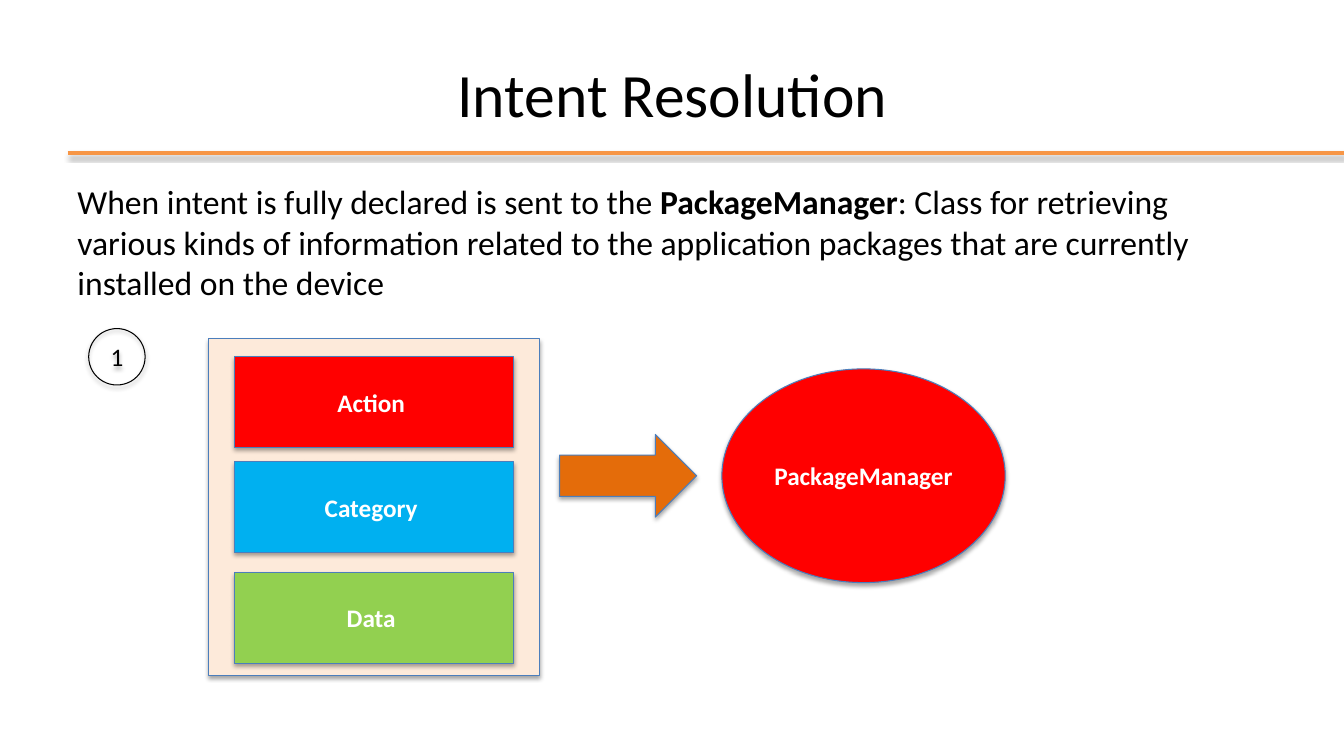
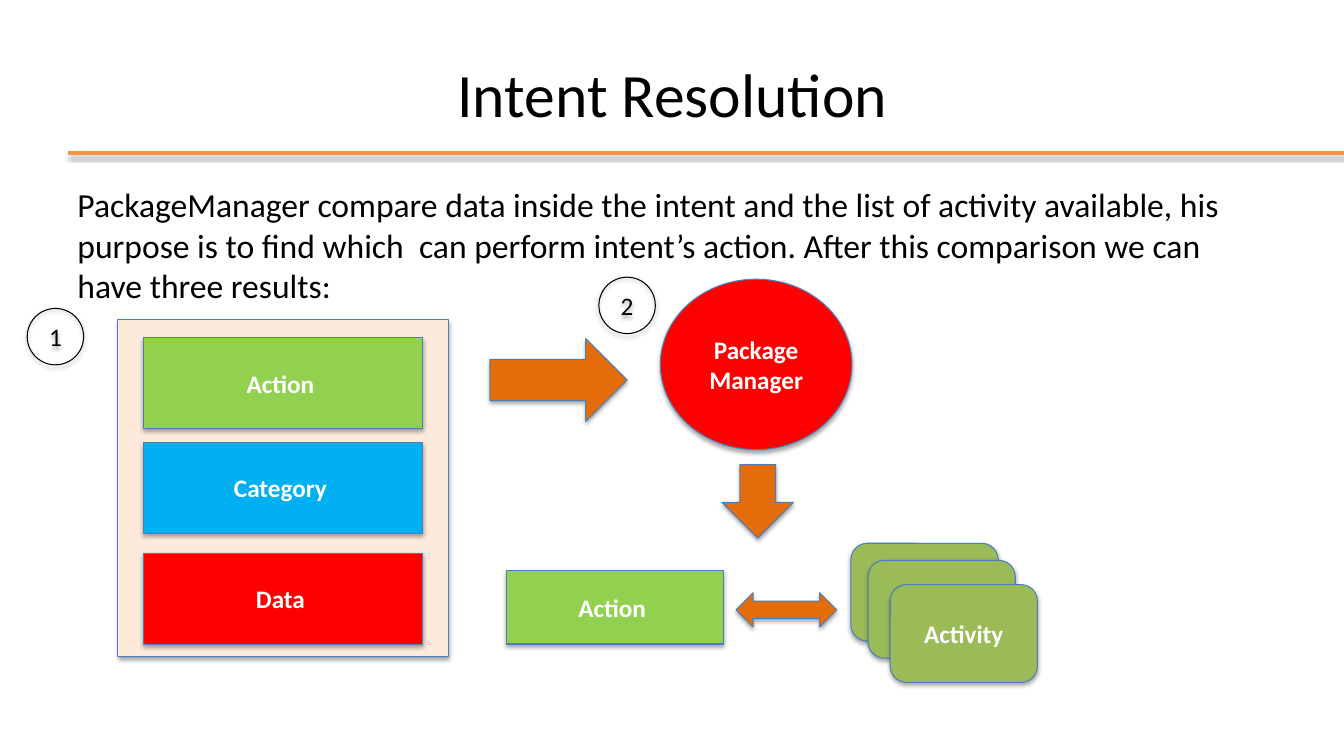
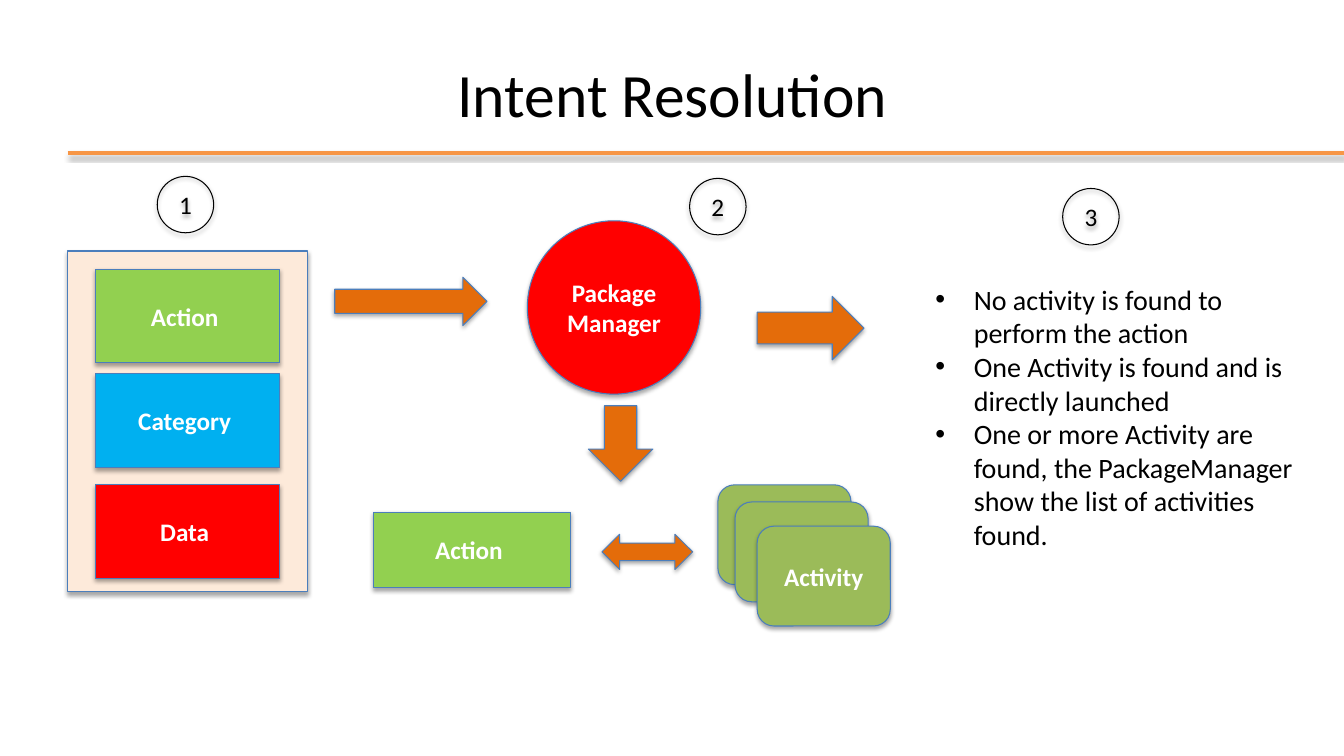
from lxml import etree
from pptx import Presentation
from pptx.dml.color import RGBColor
from pptx.enum.shapes import MSO_CONNECTOR, MSO_SHAPE
from pptx.enum.text import MSO_ANCHOR, PP_ALIGN
from pptx.oxml import parse_xml
from pptx.oxml.ns import nsdecls, qn
from pptx.util import Inches, Pt

BLACK = RGBColor(0x00, 0x00, 0x00)
WHITE = RGBColor(0xFF, 0xFF, 0xFF)
RED = RGBColor(0xFF, 0x00, 0x00)
SKY = RGBColor(0x00, 0xB0, 0xF0)
LIME = RGBColor(0x92, 0xD0, 0x50)
OLIVE = RGBColor(0x9B, 0xBB, 0x59)
PEACH = RGBColor(0xFD, 0xEA, 0xDA)
ORANGE = RGBColor(0xE4, 0x6C, 0x0A)
RULE = RGBColor(0xF7, 0x96, 0x46)
OUTLINE = RGBColor(0x4B, 0x7E, 0xBC)
FONT = "Calibri"

SHADOW = (
    f'<a:effectLst {nsdecls("a")}>'
    '<a:outerShdw blurRad="40000" dist="23000" dir="5400000" rotWithShape="0">'
    '<a:srgbClr val="000000"><a:alpha val="35000"/></a:srgbClr>'
    "</a:outerShdw></a:effectLst>"
)

# Boxes are left, top, width, height in inches; arrows add a rotation.
SLIDES = [
    {
        "body": (0.67, 1.75, 12, 4.95), "size": 24, "bullets": False,
        "paragraphs": [[
            ("When intent is fully declared is sent to the ", False),
            ("PackageManager", True),
            (": Class for retrieving various kinds of information related to "
             "the application packages that are currently installed on the device", False),
        ]],
        "manager": (7.16, 3.66, 2.81, 2.12), "manager_lines": ["PackageManager"],
        "panel": (2.07, 3.36, 3.28, 3.34), "part_size": (2.77, 0.9),
        "part_fills": (RED, SKY, LIME),
        "arrows": [(5.55, 4.31, 1.36, 0.82, 0)],
        "steps": [(0.88, 3.26)],
    },
    {
        "body": (0.67, 1.78, 12, 1.19), "size": 24, "bullets": False,
        "paragraphs": [[
            ("PackageManager compare data inside the intent and the list of activity "
             "available, his purpose is to find which  can perform intent’s action. "
             "After this comparison we can have three results:", False),
        ]],
        "manager": (6.55, 2.77, 1.9, 1.69), "manager_lines": ["Package", "Manager"],
        "panel": (1.17, 3.17, 3.28, 3.34), "part_size": (2.77, 0.9),
        "part_fills": (LIME, SKY, RED),
        "arrows": [(4.86, 3.36, 1.36, 0.82, 0), (7.15, 4.62, 0.73, 0.71, 90)],
        "steps": [(0.27, 3.06), (5.94, 2.75)],
        "activities": (8.44, 5.39, 1.46, 0.97),
        "action": (5.02, 5.66, 2.16, 0.73),
        "match": (7.3, 5.88, 1, 0.34),
    },
    {
        "body": (9.18, 2.75, 3.89, 4.11), "size": 20, "bullets": True,
        "paragraphs": [
            [("No activity is found to perform the action", False)],
            [("One Activity is found and is directly launched", False)],
            [("One or more Activity are found, the PackageManager show "
              "the list of activities found.", False)],
        ],
        "manager": (5.23, 2.19, 1.72, 1.72), "manager_lines": ["Package", "Manager"],
        "panel": (0.67, 2.49, 2.38, 3.38), "part_size": (1.83, 0.93),
        "part_fills": (LIME, SKY, RED),
        "arrows": [(3.32, 2.75, 1.51, 0.48, 0), (5.78, 4.08, 0.75, 0.64, 90),
                   (7.51, 2.94, 1.06, 0.63, 0)],
        "steps": [(1.56, 1.75), (6.84, 1.77), (10.54, 1.87)],
        "activities": (7.12, 4.81, 1.32, 0.99),
        "action": (3.7, 5.08, 1.96, 0.75),
        "match": (5.97, 5.3, 0.9, 0.35),
    },
]


def write(tf, paragraphs, size, color, align, anchor):
    """Fill a text frame with paragraphs, each a list of (text, bold) runs."""
    tf.word_wrap = True
    tf.vertical_anchor = anchor
    for i, runs in enumerate(paragraphs):
        p = tf.paragraphs[0] if i == 0 else tf.add_paragraph()
        p.alignment = align
        for text, bold in runs:
            r = p.add_run()
            r.text = text
            r.font.name = FONT
            r.font.size = Pt(size)
            r.font.bold = bold
            r.font.color.rgb = color


def add_block(s, kind, box, fill=None, lines=()):
    """Add a shadowed shape; without a fill it is a black outline with plain text."""
    sp = s.shapes.add_shape(kind, *map(Inches, box))
    if fill is None:
        sp.fill.background()
    else:
        sp.fill.solid()
        sp.fill.fore_color.rgb = fill
    sp.line.color.rgb = OUTLINE if fill else BLACK
    sp.line.width = Pt(0.75)
    sp.element.spPr.append(parse_xml(SHADOW))
    write(sp.text_frame, [[(line, fill is not None)] for line in lines], 18,
          WHITE if fill else BLACK, PP_ALIGN.CENTER, MSO_ANCHOR.MIDDLE)
    return sp


prs = Presentation()
prs.slide_width = Inches(13.33)
prs.slide_height = Inches(7.5)

for content in SLIDES:
    s = prs.slides.add_slide(prs.slide_layouts[6])

    rule = s.shapes.add_connector(MSO_CONNECTOR.STRAIGHT, Inches(0.67), Inches(1.52),
                                  Inches(13.33), Inches(1.52))
    rule.line.color.rgb = RULE
    rule.line.width = Pt(3)
    rule.element.spPr.append(parse_xml(SHADOW))

    title = s.shapes.add_textbox(Inches(0.67), Inches(0.3), Inches(12), Inches(1.25))
    write(title.text_frame, [[("Intent Resolution", False)]], 44, BLACK,
          PP_ALIGN.CENTER, MSO_ANCHOR.MIDDLE)

    body = s.shapes.add_textbox(*map(Inches, content["body"]))
    write(body.text_frame, content["paragraphs"], content["size"], BLACK,
          PP_ALIGN.LEFT, MSO_ANCHOR.TOP)
    if content["bullets"]:
        for p in body.text_frame.paragraphs:
            pPr = p._p.get_or_add_pPr()
            pPr.set("marL", str(Inches(0.38)))
            pPr.set("indent", str(-Inches(0.38)))
            etree.SubElement(pPr, qn("a:buFont")).set("typeface", "Arial")
            etree.SubElement(pPr, qn("a:buChar")).set("char", "•")

    add_block(s, MSO_SHAPE.OVAL, content["manager"], RED, content["manager_lines"])

    add_block(s, MSO_SHAPE.RECTANGLE, content["panel"], PEACH)
    left, top, width, height = content["panel"]
    part_w, part_h = content["part_size"]
    part_left = left + (width - part_w) / 2
    for label, offset, fill in zip(("Action ", "Category ", "Data "), (0.18, 1.22, 2.32),
                                   content["part_fills"]):
        add_block(s, MSO_SHAPE.RECTANGLE, (part_left, top + offset, part_w, part_h),
                  fill, [label])

    for *box, rotation in content["arrows"]:
        arrow = add_block(s, MSO_SHAPE.RIGHT_ARROW, box, ORANGE)
        arrow.rotation = rotation

    if "activities" in content:
        left, top, width, height = content["activities"]
        for dx, dy, lines in ((0, 0, []), (0.17, 0.17, []), (0.39, 0.41, ["Activity"])):
            add_block(s, MSO_SHAPE.ROUNDED_RECTANGLE, (left + dx, top + dy, width, height),
                      OLIVE, lines)
        add_block(s, MSO_SHAPE.RECTANGLE, content["action"], LIME, ["Action "])
        add_block(s, MSO_SHAPE.LEFT_RIGHT_ARROW, content["match"], ORANGE)

    for number, (left, top) in enumerate(content["steps"], 1):
        add_block(s, MSO_SHAPE.OVAL, (left, top, 0.56, 0.56), lines=[str(number)])

prs.save("out.pptx")
